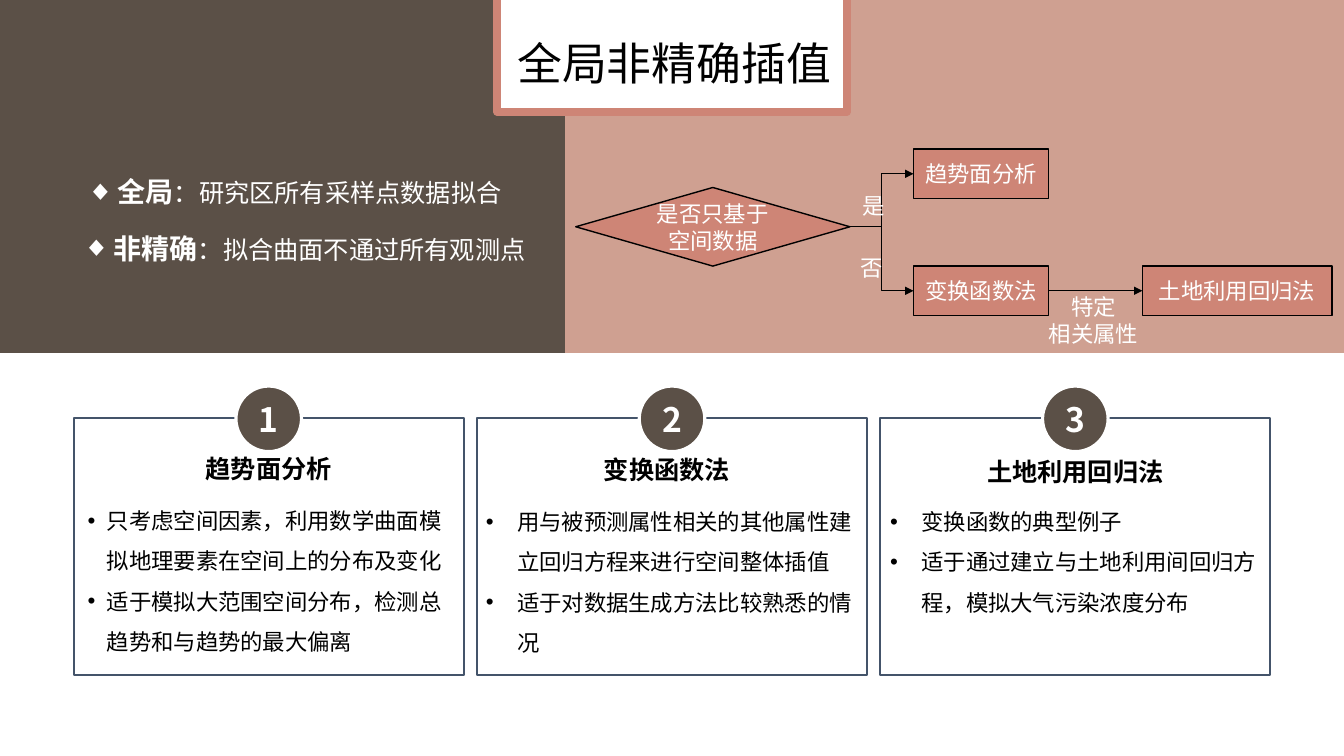
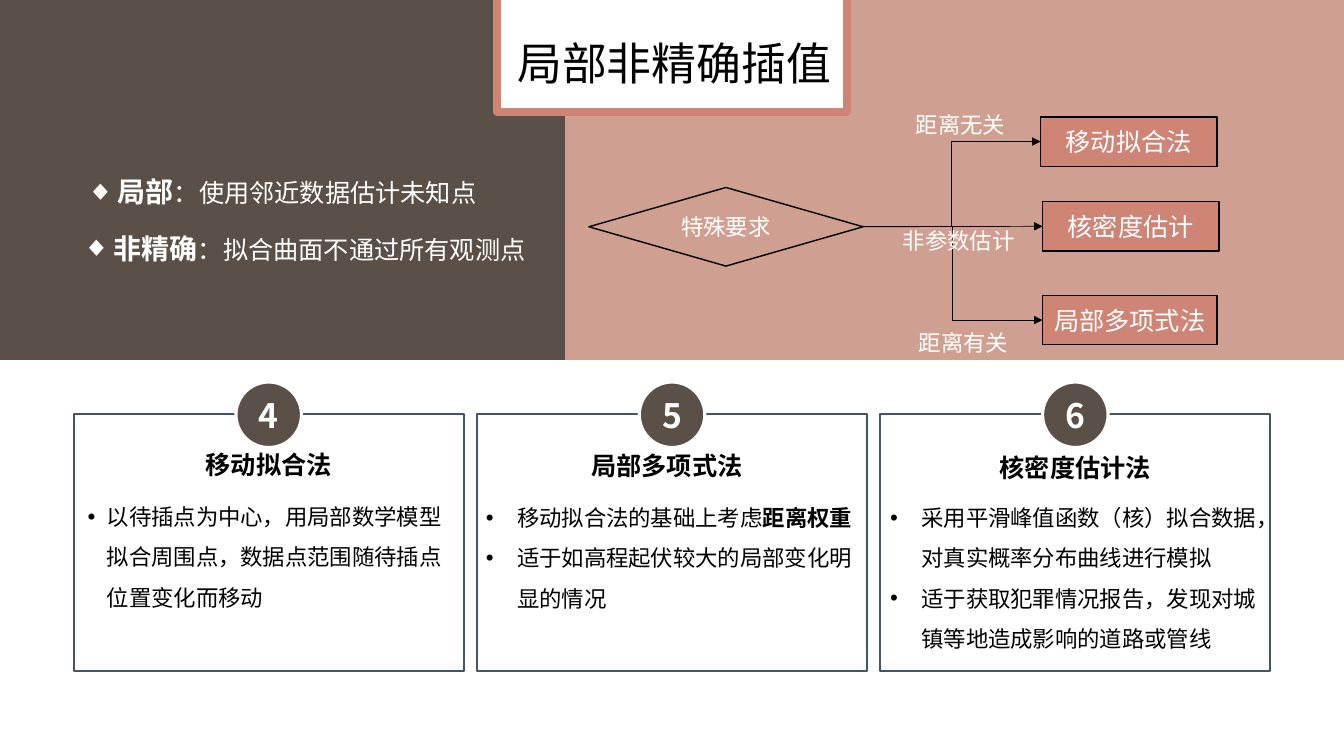
from lxml import etree
from pptx import Presentation
from pptx.dml.color import RGBColor
from pptx.enum.shapes import MSO_CONNECTOR, MSO_SHAPE
from pptx.enum.text import MSO_ANCHOR, MSO_AUTO_SIZE, PP_ALIGN
from pptx.oxml.ns import qn
from pptx.util import Pt

PX = 9144  # 100 px to the inch
FONT = "Noto Sans CJK SC"
BROWN = RGBColor(0x5B, 0x50, 0x47)
ROSE = RGBColor(0xCF, 0xA0, 0x91)
CORAL = RGBColor(0xCE, 0x85, 0x76)
SLATE = RGBColor(0x44, 0x54, 0x6A)
WHITE = RGBColor(0xFF, 0xFF, 0xFF)
BLACK = RGBColor(0, 0, 0)
RECT, ELLIPSE = MSO_SHAPE.RECTANGLE, MSO_SHAPE.OVAL
PROCESS, DECISION = MSO_SHAPE.FLOWCHART_PROCESS, MSO_SHAPE.FLOWCHART_DECISION
STRAIGHT, ELBOW = MSO_CONNECTOR.STRAIGHT, MSO_CONNECTOR.ELBOW
LEFT, CENTER = PP_ALIGN.LEFT, PP_ALIGN.CENTER
TOP, BOTTOM = MSO_ANCHOR.TOP, MSO_ANCHOR.BOTTOM
LEFT_SIDE, RIGHT_SIDE = 1, 3

# Heading x, y; body x, y, width and hanging indent, one row per card
CARD_TEXT = [
    (77, 444, 77, 485, 379, 19),
    (472, 445, 472, 486, 401, 31),
    (877, 447, 873, 486, 401, 31),
]

# A run is plain text, or (text, size) when it is bold.
# nodes: text, x, y, width; links: from, to, with -1 for the decision;
# labels: lines, x, y, width
SLIDES = [
    dict(
        title="全局非精确插值", band_height=350, card_top=415,
        points=[[("全局", 20), "：研究区所有采样点数据拟合"],
                [("非精确", 20), "：拟合曲面不通过所有观测点"]],
        decision=("是否只基于空间数据", 571, CORAL), node_size=16,
        nodes=[("趋势面分析", 906, 148, 134),
               ("变换函数法", 906, 264, 134),
               ("土地利用回归法", 1133, 264, 188)],
        links=[(-1, 0, ELBOW), (-1, 1, ELBOW), (1, 2, STRAIGHT)],
        labels=[(["是"], 843, 186, 47), (["否"], 841, 247, 47),
                (["特定", "相关属性"], 1023, 286, 123)],
        cards=[
            ("趋势面分析", [["只考虑空间因素，利用数学曲面模拟地理要素在空间上的分布及变化"],
                       ["适于模拟大范围空间分布，检测总趋势和与趋势的最大偏离"]]),
            ("变换函数法", [["用与被预测属性相关的其他属性建立回归方程来进行空间整体插值"],
                       ["适于对数据生成方法比较熟悉的情况"]]),
            ("土地利用回归法", [["变换函数的典型例子"],
                         ["适于通过建立与土地利用间回归方程，模拟大气污染浓度分布"]]),
        ],
    ),
    dict(
        title="局部非精确插值", band_height=357, card_top=411,
        points=[[("局部", 20), "：使用邻近数据估计未知点"],
                [("非精确", 20), "：拟合曲面不通过所有观测点"]],
        decision=("特殊要求", 584, None), node_size=18,
        nodes=[("移动拟合法", 1032, 116, 175),
               ("核密度估计", 1034, 200, 175),
               ("局部多项式法", 1034, 293, 173)],
        links=[(-1, 0, ELBOW), (-1, 1, STRAIGHT), (-1, 2, ELBOW)],
        labels=[(["距离无关"], 898, 105, 109), (["非参数估计"], 885, 220, 132),
                (["距离有关"], 901, 322, 109)],
        cards=[
            ("移动拟合法", [["以待插点为中心，用局部数学模型拟合周围点，数据点范围随待插点位置变化而移动"]]),
            ("局部多项式法", [["移动拟合法的基础上考虑", ("距离权重", 16)],
                        ["适于如高程起伏较大的局部变化明显的情况"]]),
            ("核密度估计法", [["采用平滑峰值函数（核）拟合数据，对真实概率分布曲线进行模拟"],
                        ["适于获取犯罪情况报告，发现对城镇等地造成影响的道路或管线"]]),
        ],
    ),
]


def add_box(slide, kind, x, y, w, h, fill=None, line=None, weight=1):
    box = slide.shapes.add_shape(kind, x * PX, y * PX, w * PX, h * PX)
    box.shadow.inherit = False
    if fill is None:
        box.fill.background()
    else:
        box.fill.solid()
        box.fill.fore_color.rgb = fill
    if line is None:
        box.line.fill.background()
    else:
        box.line.color.rgb = line
        box.line.width = Pt(weight)
    return box


def write(shape, paragraphs, size, color, align=CENTER, bold=False,
          bullet=None, indent=0):
    frame = shape.text_frame
    frame.word_wrap = True
    for i, runs in enumerate(paragraphs):
        paragraph = frame.add_paragraph() if i else frame.paragraphs[0]
        paragraph.alignment = align
        if bullet:
            paragraph.line_spacing = 1.5
            props = paragraph._p.get_or_add_pPr()
            props.set("marL", str(indent * PX))
            props.set("indent", str(-indent * PX))
            etree.SubElement(props, qn("a:buFont"), typeface="Arial")
            etree.SubElement(props, qn("a:buChar"), char=bullet)
        font = paragraph.font
        font.size, font.bold, font.name = Pt(size), bold, FONT
        font.color.rgb = color
        etree.SubElement(font._element, qn("a:ea"), typeface=FONT)
        for part in runs:
            run = paragraph.add_run()
            if isinstance(part, tuple):
                run.text = part[0]
                run.font.size, run.font.bold = Pt(part[1]), True
            else:
                run.text = part


prs = Presentation()
prs.slide_width, prs.slide_height = 1333 * PX, 750 * PX
card_number = 0

for content in SLIDES:
    slide = prs.slides.add_slide(prs.slide_layouts[5])
    shapes = slide.shapes

    # Bands and title frame
    add_box(slide, PROCESS, 0, 0, 560, content["band_height"], BROWN)
    add_box(slide, PROCESS, 560, 0, 773, content["band_height"], ROSE)
    add_box(slide, RECT, 493, -60, 347, 171, WHITE, CORAL, 5.5)

    # Title, brought in front of its frame
    title = shapes.title
    title.left, title.top, title.width, title.height = (
        503 * PX, 30 * PX, 386 * PX, 64 * PX)
    title.text_frame.vertical_anchor = TOP
    title.text_frame.auto_size = MSO_AUTO_SIZE.NONE
    write(title, [[content["title"]]], 32, BLACK, LEFT)
    shapes._spTree.append(title._element)

    # Key points
    for runs, x, y in zip(content["points"], (76, 72), (152, 208)):
        point = shapes.add_textbox(x * PX, y * PX, 480 * PX, 55 * PX)
        write(point, [runs], 18, WHITE, LEFT, bullet="◆", indent=31)

    # Decision and methods
    question, x, fill = content["decision"]
    decision = add_box(slide, DECISION, x, 186, 272, 78, fill, BLACK)
    write(decision, [[question]], 16, WHITE)
    methods = []
    for text, x, y, w in content["nodes"]:
        method = add_box(slide, RECT, x, y, w, 49, CORAL, BLACK)
        write(method, [[text]], content["node_size"], WHITE)
        methods.append(method)

    # Arrows
    for start, end, kind in content["links"]:
        arrow = shapes.add_connector(kind, 0, 0, 0, 0)
        arrow.begin_connect(decision if start < 0 else methods[start], RIGHT_SIDE)
        arrow.end_connect(methods[end], LEFT_SIDE)
        arrow.line.color.rgb = BLACK
        arrow.line.width = Pt(0.5)
        etree.SubElement(arrow.line._get_or_add_ln(), qn("a:tailEnd"), type="triangle")
        etree.SubElement(arrow._element.spPr, qn("a:effectLst"))

    # Arrow labels
    for lines, x, y, w in content["labels"]:
        label = shapes.add_textbox(x * PX, y * PX, w * PX, 37 * len(lines) * PX)
        write(label, [[line] for line in lines], 16, WHITE)

    # Numbered cards
    top = content["card_top"]
    shift = top - 415
    for column, (heading, body) in enumerate(content["cards"]):
        card_number += 1
        x = 73 + 400 * column
        heading_x, heading_y, body_x, body_y, body_w, indent = CARD_TEXT[column]
        add_box(slide, RECT, x, top, 387, 255, None, SLATE, 1.5)
        badge = add_box(slide, ELLIPSE, x + 161, top - 32, 65, 65, BROWN, WHITE, 2.25)
        write(badge, [[str(card_number)]], 24, WHITE, bold=True)
        heading_box = shapes.add_textbox(
            heading_x * PX, (heading_y + shift) * PX, 379 * PX, 41 * PX)
        heading_box.text_frame.vertical_anchor = BOTTOM
        write(heading_box, [[heading]], 18, BLACK, bold=True)
        body_box = shapes.add_textbox(
            body_x * PX, (body_y + shift) * PX, body_w * PX, 94 * PX)
        write(body_box, body, 16, BLACK, LEFT, bullet="•", indent=indent)

prs.save("out.pptx")
